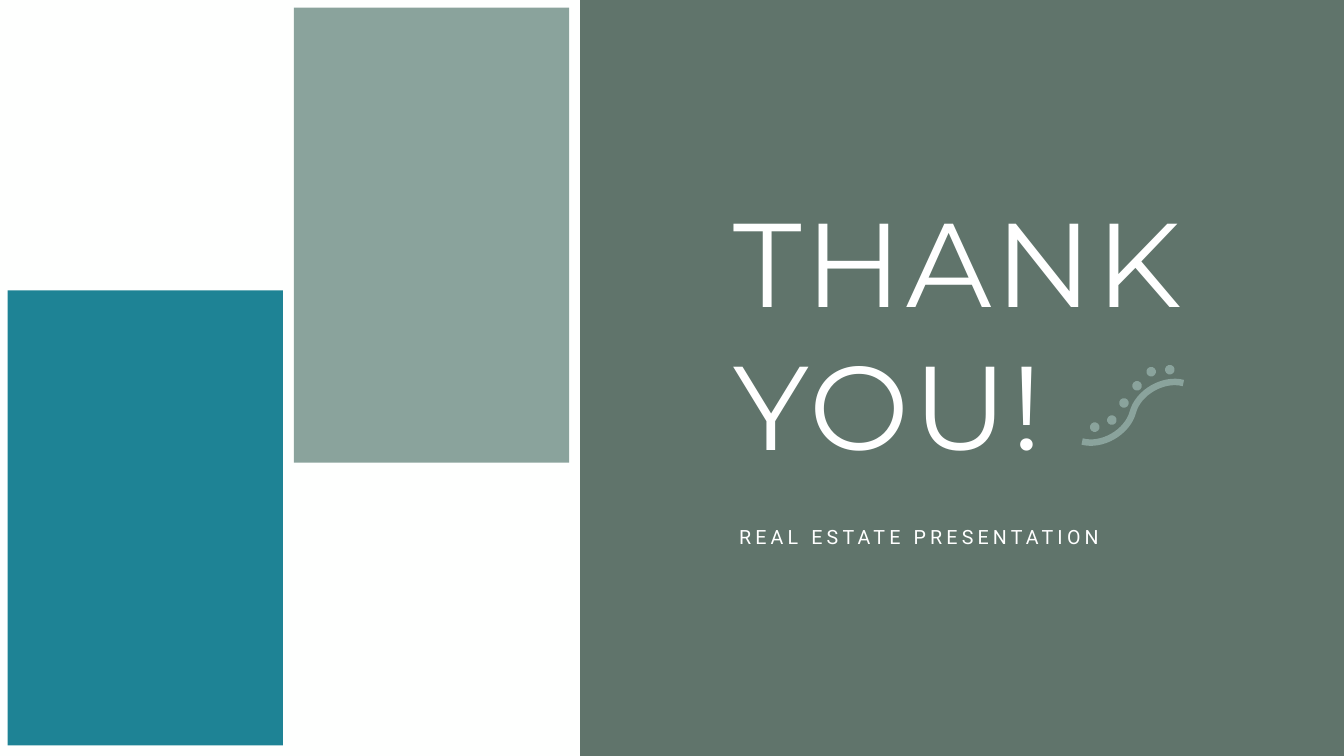
from lxml import etree
from pptx import Presentation
from pptx.dml.color import RGBColor
from pptx.enum import shapes, text
from pptx.oxml.ns import qn
from pptx.util import Emu, Pt

PX = 9144
SAGE, FOREST, TEAL, WHITE = "8AA39C", "60746B", "1E8395", "FFFFFF"


def px(*lengths):
    return [Emu(length * PX) for length in lengths]


def colour(value):
    return RGBColor.from_string(value)


def assign(target, values):
    for name, value in values.items():
        setattr(target, name, value)


class SlideBuilder:
    """Holds the slide style and draws each kind of element on the current page."""

    spacing = 6
    frame_format = {"word_wrap": True, "auto_size": text.MSO_AUTO_SIZE.SHAPE_TO_FIT_TEXT,
                    "vertical_anchor": text.MSO_ANCHOR.TOP}

    def __init__(self, page, background):
        self.page = page
        page.background.fill.solid()
        page.background.fill.fore_color.rgb = colour(background)

    def shape(self, parent, kind, place, fill, rotation=0):
        shape = parent.add_shape(kind, *px(*place))
        shape.shadow.inherit = False
        shape.rotation = rotation
        shape.fill.solid()
        shape.fill.fore_color.rgb = colour(fill)
        shape.line.fill.background()
        return shape

    def panel(self, place, fill):
        return self.shape(self.page.shapes, shapes.MSO_SHAPE.RECTANGLE, place, fill)

    def caption(self, box, place, lines, font, size, align):
        assign(box, dict(zip(("left", "top", "width", "height"), px(*place))))
        assign(box.text_frame, self.frame_format)
        para = box.text_frame.paragraphs[0]
        assign(para, {"alignment": align, "line_spacing": 1.0, "space_before": Pt(0)})
        for index, line in enumerate(lines):
            if index:
                para.add_line_break()
            span = para.add_run()
            span.text = line
            assign(span.font, {"name": font, "size": Pt(size), "bold": False})
            span.font.color.rgb = colour(WHITE)
            span.font._element.set("spc", str(self.spacing * 100))
        self.page.shapes._spTree.append(box._element)

    def curve(self, parent, start, end, rotation, stroke, width):
        curve = parent.add_connector(shapes.MSO_CONNECTOR.CURVE, *px(*start, *end))
        curve.line.color.rgb = colour(stroke)
        curve.line.width = Pt(width)
        properties = curve._element.spPr
        etree.SubElement(properties, qn("a:effectLst"))
        properties.find(qn("a:xfrm")).set("rot", str(rotation * 60000))

    def sprig(self, start, end, dots, size, fill):
        parts = self.page.shapes.add_group_shape().shapes
        self.curve(parts, start, end, 195, fill, 9.25)
        for left, top in dots:
            self.shape(parts, shapes.MSO_SHAPE.OVAL, (left, top, size, size), fill, 285)


def main():
    deck = Presentation()
    deck.slide_width, deck.slide_height = px(2666, 1500)
    page = deck.slides.add_slide(deck.slide_layouts[0])
    builder = SlideBuilder(page, "FEFFFE")
    title, subtitle = page.placeholders

    builder.panel((1151, 0, 1515, 1500), FOREST)
    builder.caption(subtitle, (1447, 1037, 752, 57), ["REAL ESTATE PRESENTATION"],
                    "Roboto", 28, text.PP_ALIGN.CENTER)
    builder.caption(title, (1444, 370, 1057, 582), ["THANK", "YOU!"],
                    "Montserrat", 170, text.PP_ALIGN.LEFT)
    dots = [(2162, 838), (2196, 824), (2220, 790), (2246, 756), (2274, 728), (2311, 724)]
    builder.sprig((2329, 736), (2165, 900), dots, 19, SAGE)
    for left, top, fill in ((15, 576, TEAL), (583, 15, SAGE)):
        builder.panel((left, top, 546, 903), fill)

    deck.save("out.pptx")


if __name__ == "__main__":
    main()
